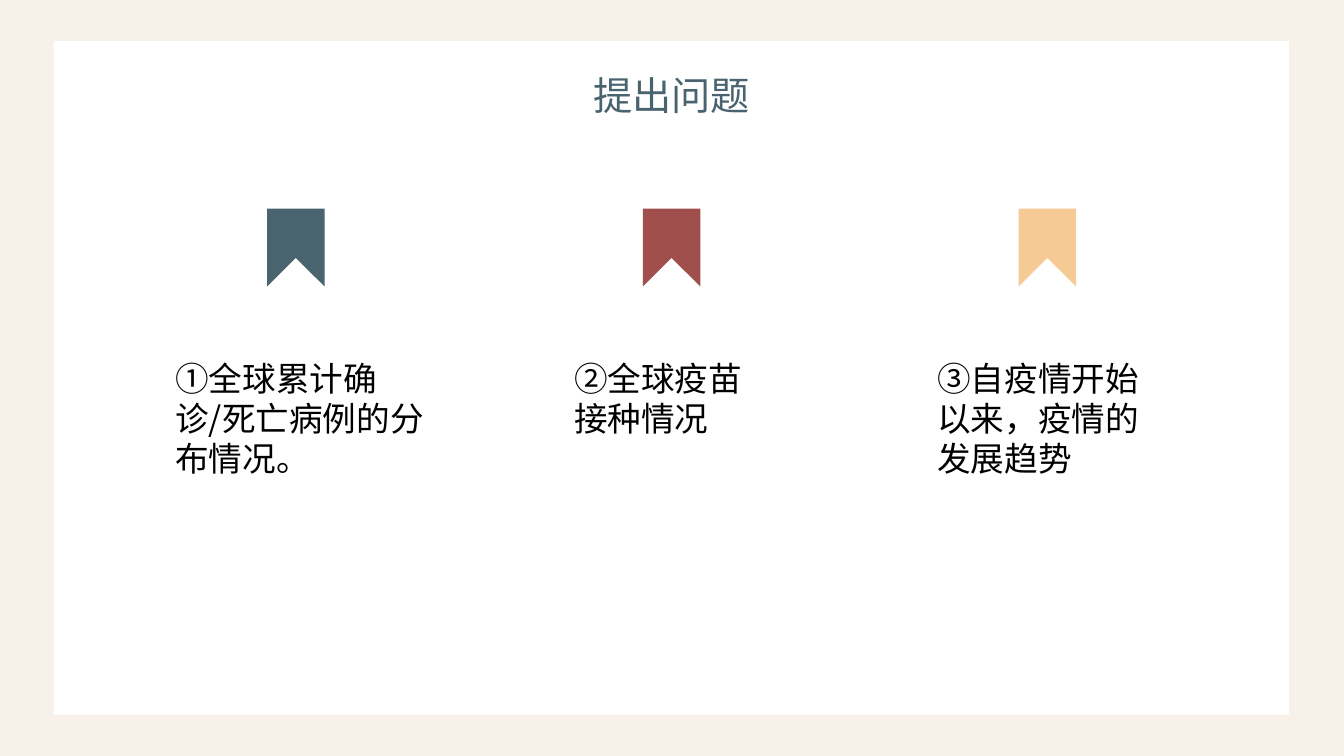
from pptx import Presentation
from pptx import util as u
from pptx.dml import color
from pptx.enum import shapes, text
from pptx.oxml import ns
from lxml import etree

Cm = u.Cm
FONT = "Noto Sans CJK SC"
SLATE, RED, SAND = "49646E", "A14F4C", "F5CA95"


def paint(fill, hex_color):
    fill.solid()
    fill.fore_color.rgb = color.RGBColor.from_string(hex_color)


def plain(sp, hex_color):
    paint(sp.fill, hex_color)
    sp.line.fill.background()
    sp.shadow.inherit = False


def add_panel(s, x, y, w, h, hex_color):
    sp = s.shapes.add_shape(shapes.MSO_SHAPE.RECTANGLE, Cm(x), Cm(y), Cm(w), Cm(h))
    plain(sp, hex_color)


def add_ribbon(s, x, y, hex_color, w=1.45, h=1.96, notch=1.24):
    fb = s.shapes.build_freeform(Cm(x), Cm(y))
    corners = [(x + w, y), (x + w, y + h), (x + w / 2, y + notch), (x, y + h)]
    fb.add_line_segments([(Cm(px), Cm(py)) for px, py in corners], close=True)
    plain(fb.convert_to_shape(), hex_color)


def add_text(s, content, x, y, w, h, *, size=24, hex_color="000000",
             align=text.PP_ALIGN.LEFT, wrap=True):
    tf = s.shapes.add_textbox(Cm(x), Cm(y), Cm(w), Cm(h)).text_frame
    tf.word_wrap = wrap
    tf.auto_size = text.MSO_AUTO_SIZE.SHAPE_TO_FIT_TEXT
    p = tf.paragraphs[0]
    p.alignment = align
    p.line_spacing = u.Pt(size * 1.19)
    r = p.add_run()
    r.text = content
    r.font.size = u.Pt(size)
    r.font.name = FONT
    paint(r.font.fill, hex_color)
    # East Asian typeface
    ea = etree.SubElement(r.font._element, ns.qn("a:ea"))
    ea.set("typeface", FONT)


def main():
    prs = Presentation()
    prs.slide_width, prs.slide_height = Cm(33.87), Cm(19.05)
    s = prs.slides.add_slide(prs.slide_layouts[6])

    # Background and white panel
    paint(s.background.fill, "F7F1E9")
    add_panel(s, 1.35, 1.04, 31.14, 16.97, "FFFFFF")

    # Title
    add_text(s, "提出问题", 14.68, 1.68, 4.5, 1.45, size=28, hex_color=SLATE,
             align=text.PP_ALIGN.CENTER, wrap=False)

    # Ribbons, evenly spaced
    for i, hex_color in enumerate((SLATE, RED, SAND)):
        add_ribbon(s, 6.73 + 9.47 * i, 5.26, hex_color)

    # Questions: text, left, width, height
    questions = [
        ("①全球累计确诊/死亡病例的分布情况。", 4.17, 7.44, 4.37),
        ("②全球疫苗接种情况", 14.22, 5.44, 3.33),
        ("③自疫情开始以来，疫情的发展趋势", 23.37, 6.1, 4.37),
    ]
    for content, x, w, h in questions:
        add_text(s, content, x, 8.89, w, h)

    prs.save("out.pptx")


if __name__ == "__main__":
    main()
